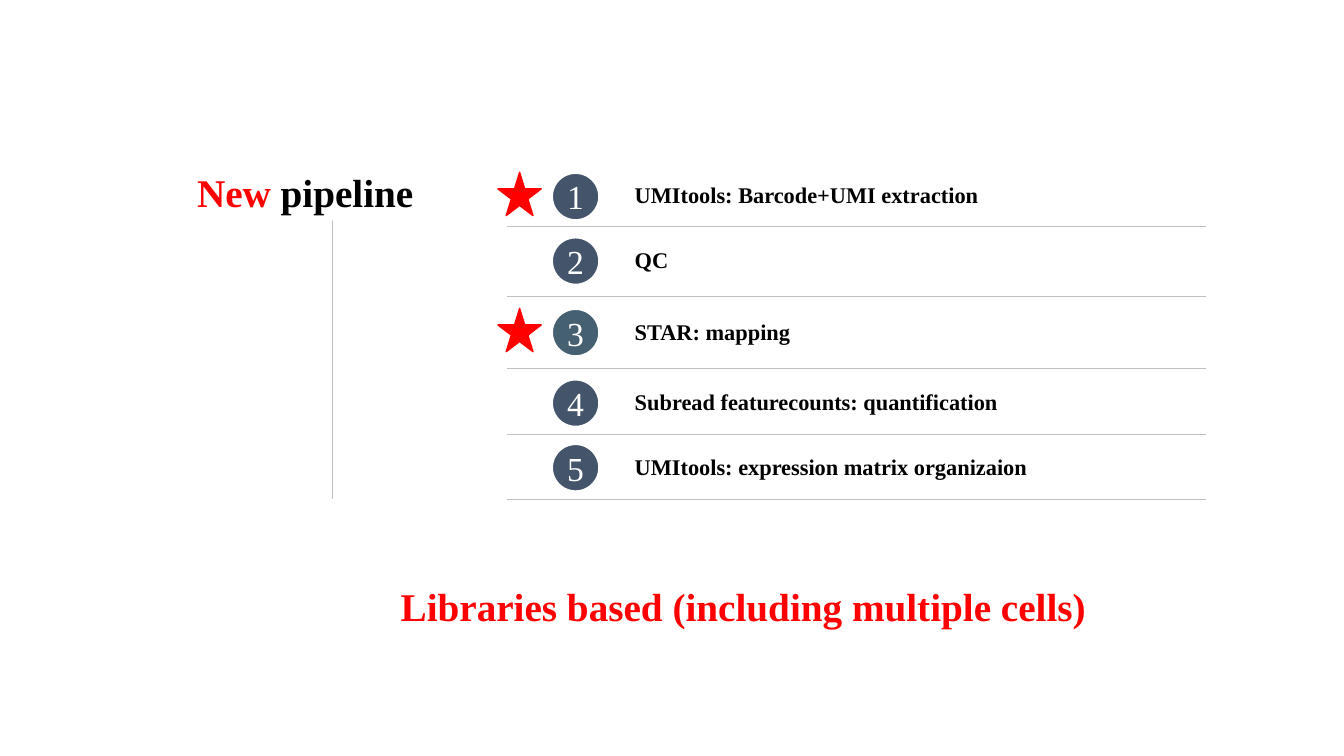
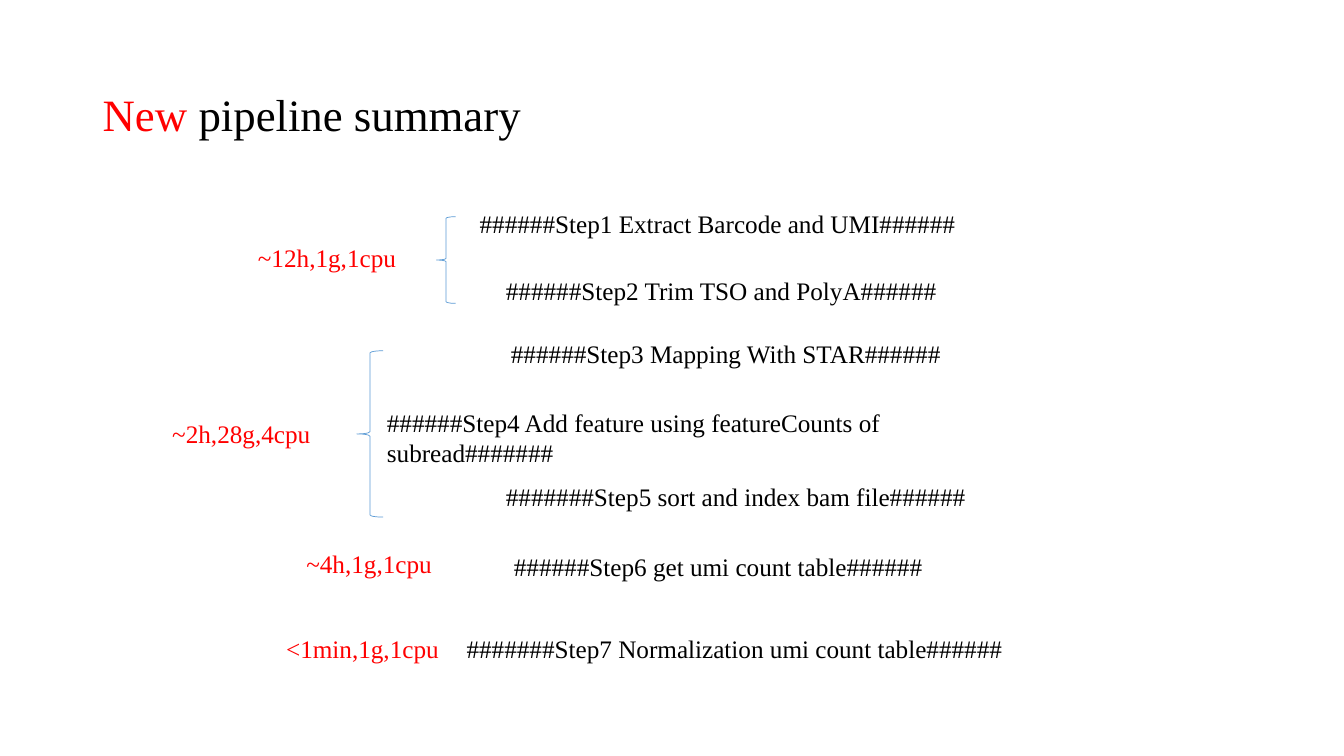
from lxml.etree import SubElement
from pptx import Presentation
from pptx.dml.color import RGBColor
from pptx.enum.shapes import MSO_CONNECTOR, MSO_SHAPE
from pptx.enum.text import MSO_ANCHOR, PP_ALIGN
from pptx.oxml.ns import qn
from pptx.util import Inches, Pt

INK = {name: RGBColor.from_string(code) for name, code in {
    "red": "FF0000", "black": "000000", "white": "FFFFFF", "slate": "44546A",
    "teal": "456071", "rule": "BFBFBF", "blue": "5B9BD5"}.items()}
FONT = "Times New Roman"

# The grid has square cells: 133.33 columns by 75 rows.
CELL = Inches(0.1)
COLS, ROWS = 133.33, 75

deck = Presentation()
deck.slide_width, deck.slide_height = int(COLS * CELL), ROWS * CELL
blank = deck.slide_layouts[6]


def draw(slide, kind, box, fill=None, line=None, width=1):
    """Add a shape, or a text box when kind is None; box is in grid cells."""
    place = [int(n * CELL) for n in box]
    if kind is None:
        shape = slide.shapes.add_textbox(*place)
    else:
        shape = slide.shapes.add_shape(kind, *place)
        shape.shadow.inherit = False
    if fill:
        shape.fill.solid()
        shape.fill.fore_color.rgb = INK[fill]
    else:
        shape.fill.background()
    if line:
        shape.line.color.rgb = INK[line]
        shape.line.width = Pt(width)
    else:
        shape.line.fill.background()
    return shape


def write(shape, parts, size, bold=False, align=PP_ALIGN.LEFT,
          anchor=MSO_ANCHOR.TOP):
    """Fill a shape with one line made of (text, colour) parts."""
    frame = shape.text_frame
    frame.word_wrap = False
    frame.vertical_anchor = anchor
    line = frame.paragraphs[0]
    line.alignment = align
    for text, tint in parts:
        run = line.add_run()
        run.text = text
        run.font.name, run.font.size, run.font.bold = FONT, Pt(size), bold
        run.font.color.rgb = INK[tint]


# Slide 1: the five steps of the pipeline
slide = deck.slides.add_slide(blank)

# top of the row, rule below it, text, disc colour, starred
steps = [
    (17.1, 22.4, "UMItools: Barcode+UMI extraction", "slate", True),
    (23.5, 29.4, "QC", "slate", False),
    (30.6, 36.5, "STAR: mapping", "teal", True),
    (37.6, 43.1, "Subread featurecounts: quantification", "slate", False),
    (44, 49.5, "UMItools: expression matrix organizaion", "slate", False),
]
rules = [(50.3, rule, 119.6, rule) for _, rule, *_ in steps]
rules.append((33, 17.6, 33, 49.5))
for ends in rules:
    rule = slide.shapes.add_connector(
        MSO_CONNECTOR.STRAIGHT, *[int(n * CELL) for n in ends])
    rule.line.color.rgb = INK["rule"]
    rule.line.width = Pt(0.25)
    SubElement(rule._element.spPr, qn("a:effectLst"))

for num, (top, _, text, tint, star) in enumerate(steps, 1):
    label = draw(slide, MSO_SHAPE.ROUNDED_RECTANGLE, (61.3, top - 0.1, 56.2, 4.7))
    label.adjustments[0] = 0.5
    write(label, [(text, "black")], 16, True, anchor=MSO_ANCHOR.MIDDLE)
    disc = draw(slide, MSO_SHAPE.OVAL, (54.7, top, 4.8, 4.8), tint, "white", 2.25)
    write(disc, [(str(num), "white")], 24, align=PP_ALIGN.CENTER,
          anchor=MSO_ANCHOR.MIDDLE)
    if star:
        draw(slide, MSO_SHAPE.STAR_5_POINT, (49.4, top, 4.3, 4.3), "red", "red")

for box, parts in [
    ((18.3, 16.2, 23.7, 5.7), [("New ", "red"), ("pipeline", "black")]),
    ((38, 57.3, 70.7, 5.7),
     [("Libraries based (including multiple cells)", "red")]),
]:
    write(draw(slide, None, box, "white"), parts, 28, True, PP_ALIGN.RIGHT)

# Slide 2: the cost of each step
slide = deck.slides.add_slide(blank)
title = draw(slide, None, (9.2, 4, 115, 14.5))
write(title, [("New ", "red"), ("pipeline summary", "black")], 32,
      anchor=MSO_ANCHOR.MIDDLE)

notes = {
    "black": [
        (46.6, 20.2, 49.7, "######Step1 Extract Barcode and UMI######"),
        (49.2, 26.8, 45.2, "######Step2 Trim TSO and PolyA######"),
        (49.7, 33.1, 45.1, "######Step3 Mapping With STAR######"),
        (37.4, 39.9, 68,
         "######Step4 Add feature using featureCounts of subread#######"),
        (49.2, 47.3, 48.1, "#######Step5 sort and index bam file######"),
        (50, 54.2, 43, "######Step6 get umi count table######"),
        (45.3, 62.3, 55.7, "#######Step7 Normalization umi count table######"),
    ],
    "red": [
        (24.6, 23.6, 15.9, "~12h,1g,1cpu"),
        (16.1, 41, 15.9, "~2h,28g,4cpu"),
        (29.4, 53.9, 14.6, "~4h,1g,1cpu"),
        (27.4, 62.3, 17.3, "<1min,1g,1cpu"),
    ],
}
for tint, items in notes.items():
    for left, top, wide, text in items:
        write(draw(slide, None, (left, top, wide, 4)), [(text, tint)], 18)

for box in [(43.3, 21.5, 1.9, 8.6), (35.4, 34.8, 2.6, 16.5)]:
    draw(slide, MSO_SHAPE.LEFT_BRACE, box, line="blue", width=0.5)

deck.save("out.pptx")
